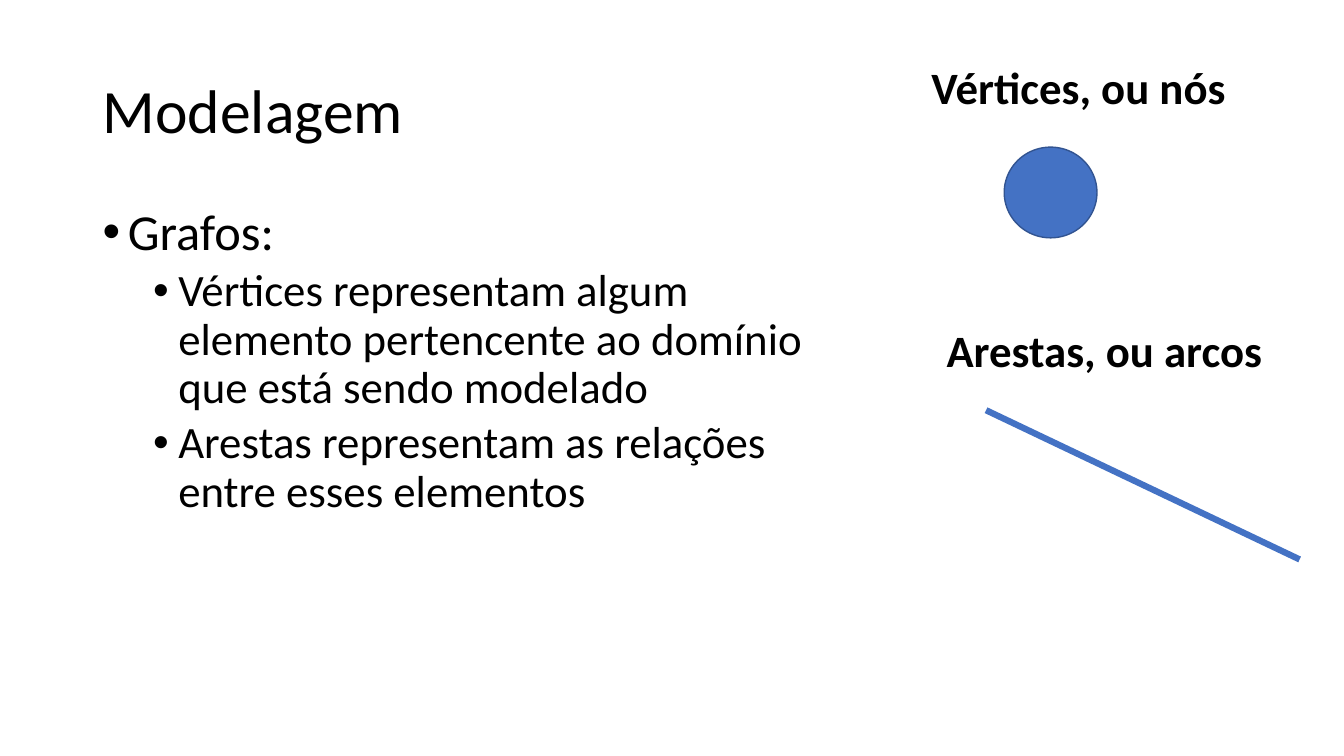
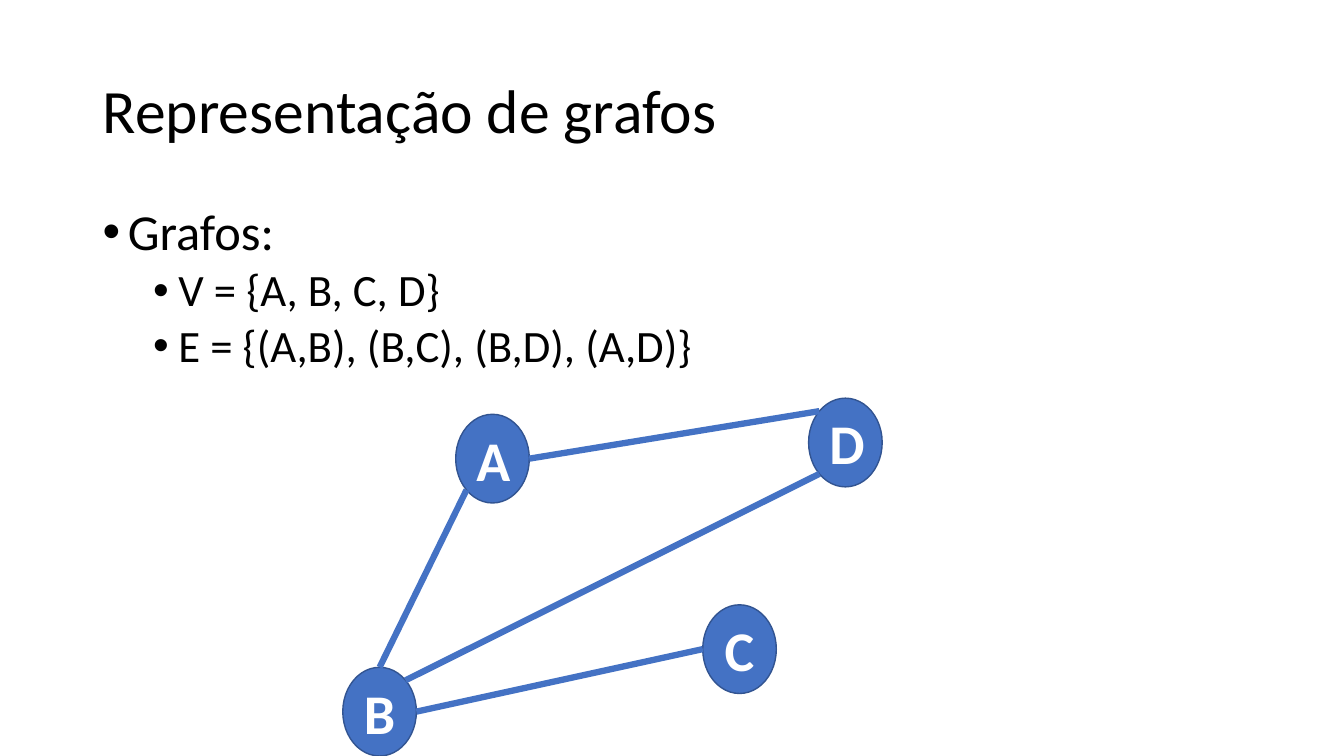
from math import cos, radians, sin

from lxml import etree
from pptx import Presentation
from pptx.dml.color import RGBColor
from pptx.enum.shapes import MSO_CONNECTOR, MSO_SHAPE
from pptx.enum.text import MSO_ANCHOR, PP_ALIGN
from pptx.oxml.ns import qn
from pptx.util import Inches, Pt

OVAL = MSO_SHAPE.OVAL
STRAIGHT = MSO_CONNECTOR.STRAIGHT
MIDDLE = MSO_ANCHOR.MIDDLE
LEFT = PP_ALIGN.LEFT
CENTER = PP_ALIGN.CENTER

FONT = "Calibri"
COLORS = {"text": "000000", "vertex": "4472C4", "outline": "325491", "letter": "FFFFFF"}
LEVELS = [
    {"size": 36, "indent": 0.25, "before": 10},
    {"size": 32, "indent": 0.75, "before": 5},
]
NODE_WIDTH, NODE_HEIGHT = 0.73, 0.88


def add_run(paragraph, text, size, color="text", bold=False):
    run = paragraph.add_run()
    run.text = text
    run.font.name = FONT
    run.font.size = Pt(size)
    run.font.bold = bold
    run.font.color.rgb = RGBColor.from_string(COLORS[color])


def add_vertex(slide, left, top, width, height):
    shape = slide.shapes.add_shape(OVAL, Inches(left), Inches(top), Inches(width), Inches(height))
    shape.shadow.inherit = False
    shape.fill.solid()
    shape.fill.fore_color.rgb = RGBColor.from_string(COLORS["vertex"])
    shape.line.color.rgb = RGBColor.from_string(COLORS["outline"])
    shape.line.width = Pt(1)
    return shape


nodes = {"A": (4.52, 4.11), "B": (3.4, 6.62), "C": (6.97, 6), "D": (8.02, 3.95)}
edges = [("A", 135, "B", 270), ("B", 0, "C", 180), ("B", 315, "D", 135), ("A", 0, "D", 225)]

graph_lines = []
for start, start_angle, end, end_angle in edges:
    ends = []
    for name, angle in [(start, start_angle), (end, end_angle)]:
        left, top = nodes[name]
        ends.append(left + NODE_WIDTH / 2 * (1 + cos(radians(angle))))
        ends.append(top + NODE_HEIGHT / 2 * (1 + sin(radians(angle))))
    graph_lines.append(ends)

slides = [
    {
        "title": "Modelagem",
        "body_width": 7.46,
        "bullets": [
            (0, "Grafos:"),
            (1, "Vértices representam algum elemento pertencente ao domínio que está sendo modelado"),
            (1, "Arestas representam as relações entre esses elementos"),
        ],
        "vertices": [("", 9.96, 1.46, 0.92, 0.9)],
        "labels": [("Vértices, ou nós", 9.14, 0.54, 3.15), ("Arestas, ou arcos", 9.29, 3.15, 3.36)],
        "lines": [(9.78, 4.07, 12.89, 5.55)],
    },
    {
        "title": "Representação de grafos",
        "body_width": 12.14,
        "bullets": [
            (0, "Grafos:"),
            (1, "V = {A, B, C, D}"),
            (1, "E = {(A,B), (B,C), (B,D), (A,D)}"),
        ],
        "vertices": [(name, *place, NODE_WIDTH, NODE_HEIGHT) for name, place in nodes.items()],
        "labels": [],
        "lines": graph_lines,
    },
]

presentation = Presentation()
presentation.slide_width = Inches(13.33)
presentation.slide_height = Inches(7.5)

for content in slides:
    slide = presentation.slides.add_slide(presentation.slide_layouts[5])

    title = slide.shapes.title
    title.left, title.top = Inches(0.92), Inches(0.4)
    title.width, title.height = Inches(11.5), Inches(1.45)
    title.text_frame.vertical_anchor = MIDDLE
    paragraph = title.text_frame.paragraphs[0]
    paragraph.alignment = LEFT
    paragraph.line_spacing = 0.9
    add_run(paragraph, content["title"], 44)

    body = slide.shapes.add_textbox(
        Inches(0.92), Inches(2), Inches(content["body_width"]), Inches(5.1)
    )
    body.text_frame.word_wrap = True
    for index, (level, text) in enumerate(content["bullets"]):
        style = LEVELS[level]
        paragraph = body.text_frame.add_paragraph() if index else body.text_frame.paragraphs[0]
        paragraph.level = level
        paragraph.line_spacing = 0.9
        paragraph.space_before = Pt(style["before"])
        properties = paragraph._p.get_or_add_pPr()
        properties.set("marL", str(Inches(style["indent"])))
        properties.set("indent", str(Inches(-0.25)))
        etree.SubElement(properties, qn("a:buFont")).set("typeface", "Arial")
        etree.SubElement(properties, qn("a:buChar")).set("char", "•")
        add_run(paragraph, text, style["size"])

    for letter, left, top, width, height in content["vertices"]:
        vertex = add_vertex(slide, left, top, width, height)
        if letter:
            vertex.text_frame.vertical_anchor = MIDDLE
            paragraph = vertex.text_frame.paragraphs[0]
            paragraph.alignment = CENTER
            add_run(paragraph, letter, 40, "letter", True)

    for text, left, top, width in content["labels"]:
        label = slide.shapes.add_textbox(Inches(left), Inches(top), Inches(width), Inches(0.64))
        label.text_frame.word_wrap = False
        add_run(label.text_frame.paragraphs[0], text, 32, bold=True)

    for points in content["lines"]:
        edge = slide.shapes.add_connector(STRAIGHT, *[Inches(value) for value in points])
        edge.line.color.rgb = RGBColor.from_string(COLORS["vertex"])
        edge.line.width = Pt(4.5)
        etree.SubElement(edge._element.spPr, qn("a:effectLst"))

presentation.save("out.pptx")
